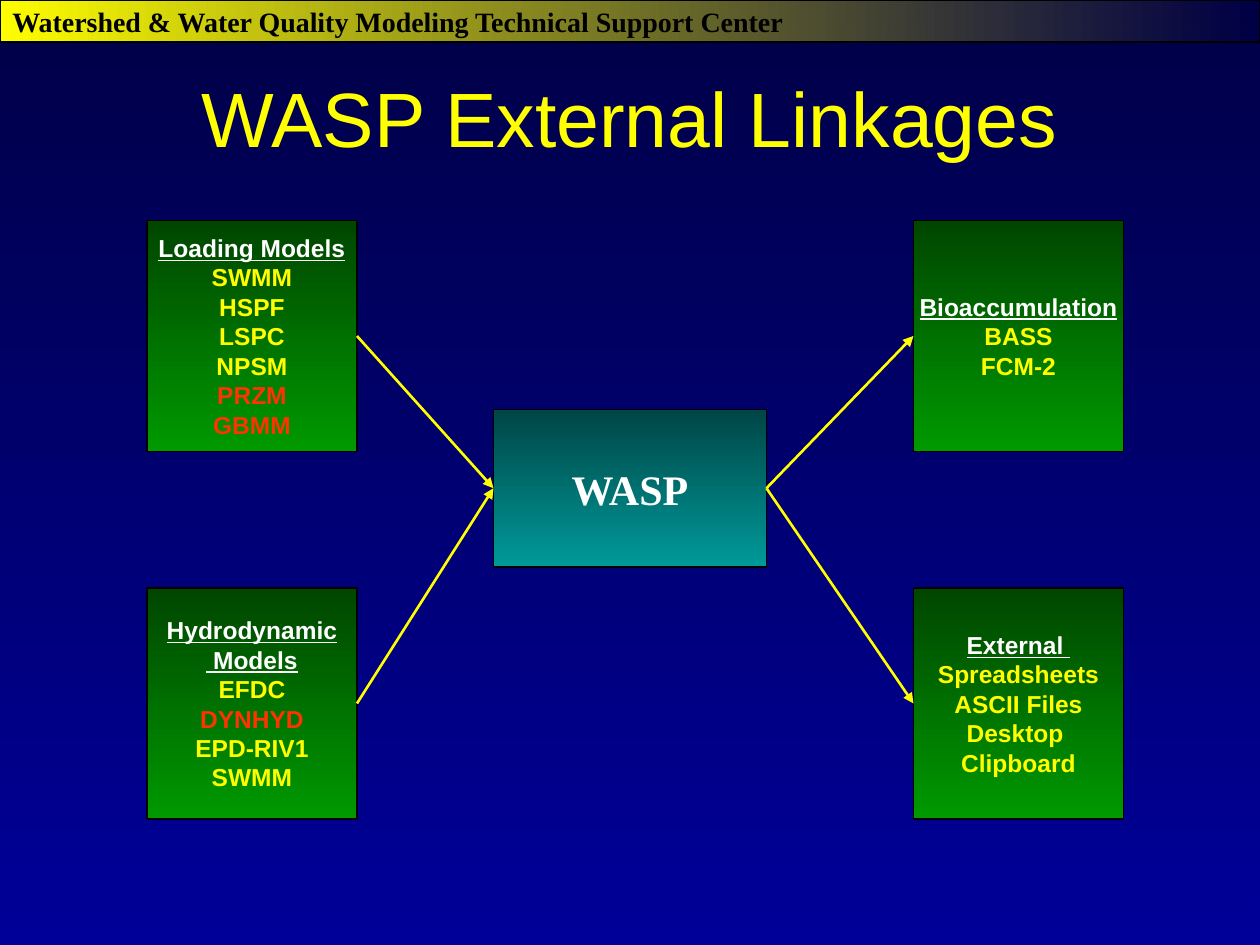
from lxml import etree
from pptx import Presentation
from pptx.dml.color import RGBColor
from pptx.enum.shapes import MSO_CONNECTOR, MSO_SHAPE
from pptx.enum.text import MSO_ANCHOR, PP_ALIGN
from pptx.oxml.ns import qn
from pptx.util import Pt

RECTANGLE = MSO_SHAPE.RECTANGLE
STRAIGHT = MSO_CONNECTOR.STRAIGHT
MIDDLE = MSO_ANCHOR.MIDDLE
LEFT, CENTER = PP_ALIGN.LEFT, PP_ALIGN.CENTER
LEFT_SIDE, RIGHT_SIDE = 1, 3

WHITE, BLACK, YELLOW, RED = "FFFFFF", "000000", "FFFF00", "FF3300"
NAVY = "000046"
DOWNWARD, LEFTWARD = 270, 180

MODEL_GROUPS = {
    "loading": (84, 126, ["Loading Models"],
                ["SWMM", "HSPF", "LSPC", "NPSM", "PRZM", "GBMM"]),
    "hydrodynamic": (84, 336, ["Hydrodynamic", " Models"],
                     ["EFDC", "DYNHYD", "EPD-RIV1", "SWMM"]),
    "bioaccumulation": (522, 126, ["Bioaccumulation"], ["BASS", "FCM-2"]),
    "external": (522, 336, ["External "],
                 ["Spreadsheets", "ASCII Files", "Desktop ", "Clipboard"]),
}
HIGHLIGHTED = {"PRZM", "GBMM", "DYNHYD"}


def rgb(value):
    return RGBColor.from_string(value)


def set_gradient(fill, start, end, angle=DOWNWARD):
    fill.gradient()
    fill.gradient_angle = angle
    for stop, color in zip(fill.gradient_stops, (start, end)):
        stop.color.rgb = rgb(color)


def write_line(frame, text, first=False, size=14, font="Arial", color=YELLOW,
               bold=True, underline=False, align=CENTER):
    paragraph = frame.paragraphs[0] if first else frame.add_paragraph()
    paragraph.alignment = align
    run = paragraph.add_run()
    run.text = text
    run.font.size = Pt(size)
    run.font.name = font
    run.font.bold = bold
    run.font.underline = underline
    run.font.color.rgb = rgb(color)


def add_panel(slide, left, top, width, height, start, end, angle=DOWNWARD):
    panel = slide.shapes.add_shape(RECTANGLE, Pt(left), Pt(top), Pt(width), Pt(height))
    panel.shadow.inherit = False
    set_gradient(panel.fill, start, end, angle)
    panel.line.color.rgb = rgb(BLACK)
    panel.line.width = Pt(0.75)
    panel.text_frame.word_wrap = False
    panel.text_frame.vertical_anchor = MIDDLE
    return panel


def add_banner(slide):
    banner = add_panel(slide, 0, 0, 720, 24, NAVY, YELLOW, LEFTWARD)
    dark_end = next(banner.element.spPr.iter(qn("a:srgbClr")))
    etree.SubElement(dark_end, qn("a:alpha"), val="81000")
    write_line(banner.text_frame,
               "Watershed & Water Quality Modeling Technical Support Center",
               first=True, size=16, font="Times New Roman", color=BLACK, align=LEFT)


def add_title(slide):
    title = slide.shapes.title
    title.left, title.top, title.width, title.height = Pt(36), Pt(21.6), Pt(648), Pt(90)
    title.text_frame.vertical_anchor = MIDDLE
    write_line(title.text_frame, "WASP External Linkages", first=True, size=44, bold=False)


def add_model_group(slide, left, top, headings, members):
    group = add_panel(slide, left, top, 120, 132, "004600", "009900")
    for index, heading in enumerate(headings):
        write_line(group.text_frame, heading, first=index == 0, color=WHITE, underline=True)
    for member in members:
        write_line(group.text_frame, member, color=RED if member in HIGHLIGHTED else YELLOW)
    return group


def add_link(slide, source, target):
    link = slide.shapes.add_connector(STRAIGHT, 0, 0, 0, 0)
    link.begin_connect(source, RIGHT_SIDE)
    link.end_connect(target, LEFT_SIDE)
    link.line.color.rgb = rgb(YELLOW)
    link.line.width = Pt(1.5)
    etree.SubElement(link.line._get_or_add_ln(), qn("a:tailEnd"), type="triangle")
    etree.SubElement(link.element.spPr, qn("a:effectLst"))


def main():
    deck = Presentation()
    deck.slide_width, deck.slide_height = Pt(720), Pt(540)
    slide = deck.slides.add_slide(deck.slide_layouts[5])
    set_gradient(slide.background.fill, NAVY, "000099")
    add_banner(slide)
    add_title(slide)

    wasp = add_panel(slide, 282, 234, 156, 90, "004646", "009999")
    write_line(wasp.text_frame, "WASP", first=True, size=24,
               font="Times New Roman", color=WHITE)
    groups = {name: add_model_group(slide, *details)
              for name, details in MODEL_GROUPS.items()}

    for name in ("hydrodynamic", "loading"):
        add_link(slide, groups[name], wasp)
    for name in ("bioaccumulation", "external"):
        add_link(slide, wasp, groups[name])
    deck.save("out.pptx")


if __name__ == "__main__":
    main()
